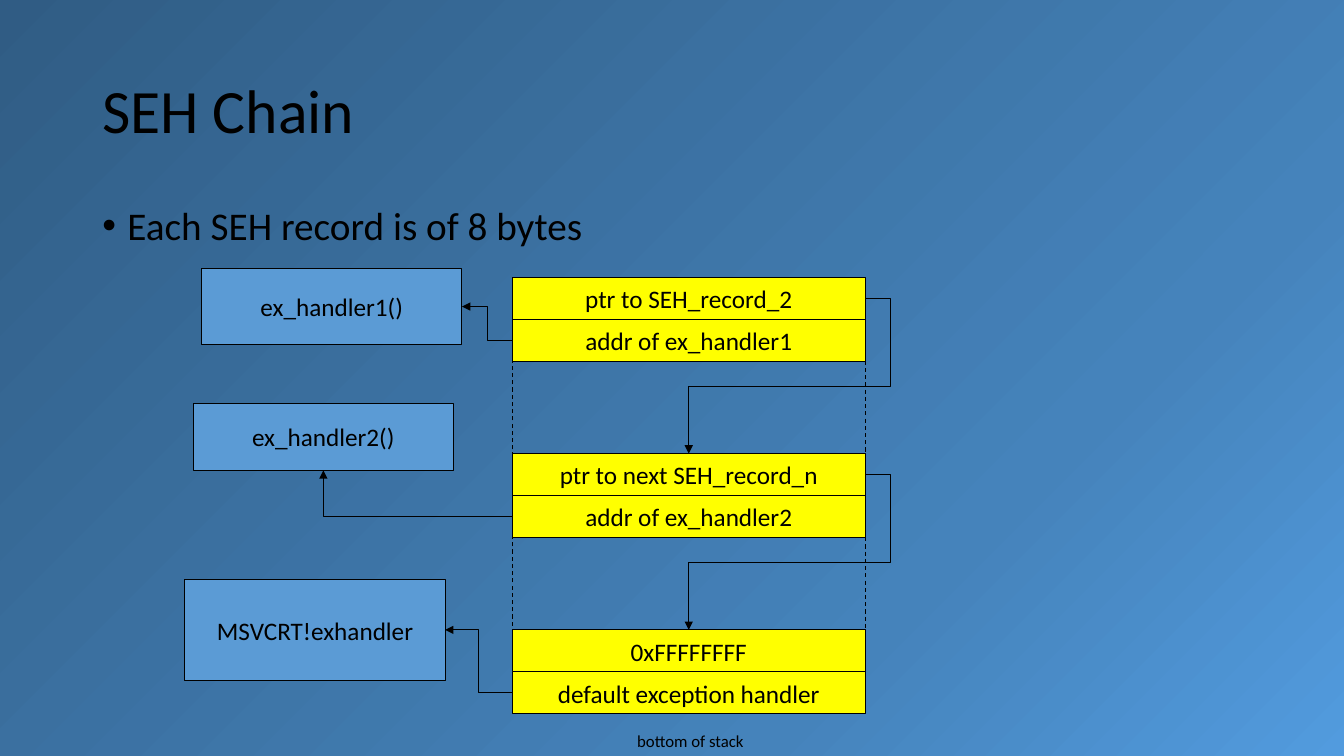
from pptx import Presentation
from pptx.dml.color import RGBColor
from pptx.enum.dml import MSO_LINE
from pptx.enum.shapes import MSO_CONNECTOR, MSO_SHAPE
from pptx.enum.text import MSO_ANCHOR, PP_ALIGN
from pptx.oxml import parse_xml
from pptx.oxml.ns import nsdecls, qn
from pptx.oxml.xmlchemy import OxmlElement
from pptx.util import Inches, Pt

RECT, ELBOW, DASH = MSO_SHAPE.RECTANGLE, MSO_CONNECTOR.ELBOW, MSO_LINE.DASH
CENTER, LEFT = PP_ALIGN.CENTER, PP_ALIGN.LEFT
MIDDLE, TOP = MSO_ANCHOR.MIDDLE, MSO_ANCHOR.TOP
SITE_TOP, SITE_LEFT, SITE_BOTTOM, SITE_RIGHT = range(4)

THEME = {
    "font": "Calibri", "ink": RGBColor.from_string("000000"),
    "record": RGBColor.from_string("FFFF00"), "handler": RGBColor.from_string("5B9BD5"),
    "title": Pt(44), "body": Pt(28), "box": Pt(18), "note": Pt(12), "line": Pt(0.75),
    "backdrop": [(0, "305C84", 100), (72, "4583BB", 58), (100, "529BDE", 100)],
}
COLUMNS, ROWS = 160, 90
CELL = Inches(1) // 12

deck = Presentation()
deck.slide_width, deck.slide_height = COLUMNS * CELL, ROWS * CELL
slide = deck.slides.add_slide(deck.slide_layouts[6])


def write(frame, text, size, align=CENTER, anchor=MIDDLE, wrap=False):
    frame.word_wrap = wrap
    frame.vertical_anchor = anchor
    paragraph = frame.paragraphs[0]
    paragraph.alignment = align
    run = paragraph.add_run()
    run.text = text
    run.font.size, run.font.name = THEME[size], THEME["font"]
    run.font.color.rgb = THEME["ink"]
    return paragraph


def add_box(column, row, width, height, fill=None, text=None):
    box = slide.shapes.add_shape(RECT, *(round(n * CELL) for n in (column, row, width, height)))
    box.shadow.inherit = False
    box.line.color.rgb, box.line.width = THEME["ink"], THEME["line"]
    if fill:
        box.fill.solid()
        box.fill.fore_color.rgb = THEME[fill]
        write(box.text_frame, text, "box")
    else:
        box.fill.background()
        box.line.dash_style = DASH
    return box


slide.background.fill.gradient()
gradient = next(slide.element.iter(qn("a:gradFill")))
stops = "".join(
    f'<a:gs pos="{place * 1000}"><a:srgbClr val="{color}"><a:alpha val="{alpha * 1000}"/></a:srgbClr></a:gs>'
    for place, color, alpha in THEME["backdrop"])
gradient.getparent().replace(gradient, parse_xml(
    f'<a:gradFill {nsdecls("a")} rotWithShape="1"><a:gsLst>{stops}</a:gsLst>'
    '<a:path path="circle"><a:fillToRect r="100000" b="100000"/></a:path></a:gradFill>'))

STACK_LEFT, STACK_TOP, STACK_WIDTH = 61, 33, 42
FIELD, PITCH = 5, 21
records = [
    ("ptr to SEH_record_2", "addr of ex_handler1"),
    ("ptr to next SEH_record_n", "addr of ex_handler2"),
    ("0xFFFFFFFF", "default exception handler"),
]
handlers = [
    (24, 32, 9, "ex_handler1()", SITE_RIGHT),
    (23, 48, 8, "ex_handler2()", SITE_BOTTOM),
    (22, 69, 12, "MSVCRT!exhandler", SITE_RIGHT),
]

for gap in range(len(records) - 1):
    add_box(STACK_LEFT, STACK_TOP + gap * PITCH + 2 * FIELD, STACK_WIDTH, PITCH - 2 * FIELD)

for text, size, row, height, anchor in (
        ("SEH Chain", "title", 4.8, 17.4, MIDDLE),
        ("Each SEH record is of 8 bytes", "body", 24, 57, TOP)):
    heading = slide.shapes.add_textbox(11 * CELL, round(row * CELL), 138 * CELL, round(height * CELL))
    line = write(heading.text_frame, text, size, LEFT, anchor, True)
    line.line_spacing = 0.9
line.space_before = Pt(10)
bullet_format = line._p.get_or_add_pPr()
bullet_format.set("marL", str(Inches(0.25)))
bullet_format.set("indent", str(-Inches(0.25)))
bullet_format.append(parse_xml(f'<a:buFont {nsdecls("a")} typeface="Arial"/>'))
bullet_format.append(parse_xml(f'<a:buChar {nsdecls("a")} char="•"/>'))

pointers, links = [], []
for index, ((pointer, address), (column, row, height, name, site)) in enumerate(zip(records, handlers)):
    top = STACK_TOP + index * PITCH
    address_box = add_box(STACK_LEFT, top + FIELD, STACK_WIDTH, FIELD, "record", address)
    pointers.append(add_box(STACK_LEFT, top, STACK_WIDTH, FIELD, "record", pointer))
    handler = add_box(column, row, 31, height, "handler", name)
    bend = "bentConnector2" if site == SITE_BOTTOM else "bentConnector3"
    links.append((address_box, SITE_LEFT, handler, site, bend, {}))
for pointer, following in zip(pointers, pointers[1:]):
    links.append((pointer, SITE_RIGHT, following, SITE_TOP, "bentConnector4",
                  {"adj1": -14300, "adj2": 56800}))

for source, source_site, target, target_site, bend, bends in links:
    link = slide.shapes.add_connector(ELBOW, 0, 0, 0, 0)
    link.begin_connect(source, source_site)
    link.end_connect(target, target_site)
    link.line.color.rgb, link.line.width = THEME["ink"], THEME["line"]
    properties = link.element.spPr
    geometry = properties.find(qn("a:prstGeom"))
    geometry.set("prst", bend)
    for guide, value in bends.items():
        adjustment = OxmlElement("a:gd")
        adjustment.set("name", guide)
        adjustment.set("fmla", f"val {value}")
        geometry.find(qn("a:avLst")).append(adjustment)
    arrowhead = OxmlElement("a:tailEnd")
    arrowhead.set("type", "triangle")
    properties.find(qn("a:ln")).append(arrowhead)
    properties.append(OxmlElement("a:effectLst"))

stack_note = slide.shapes.add_textbox(*(round(n * CELL) for n in (74.5, 86.4, 15.4, 3.6)))
write(stack_note.text_frame, "bottom of stack", "note", anchor=TOP)

deck.save("out.pptx")
